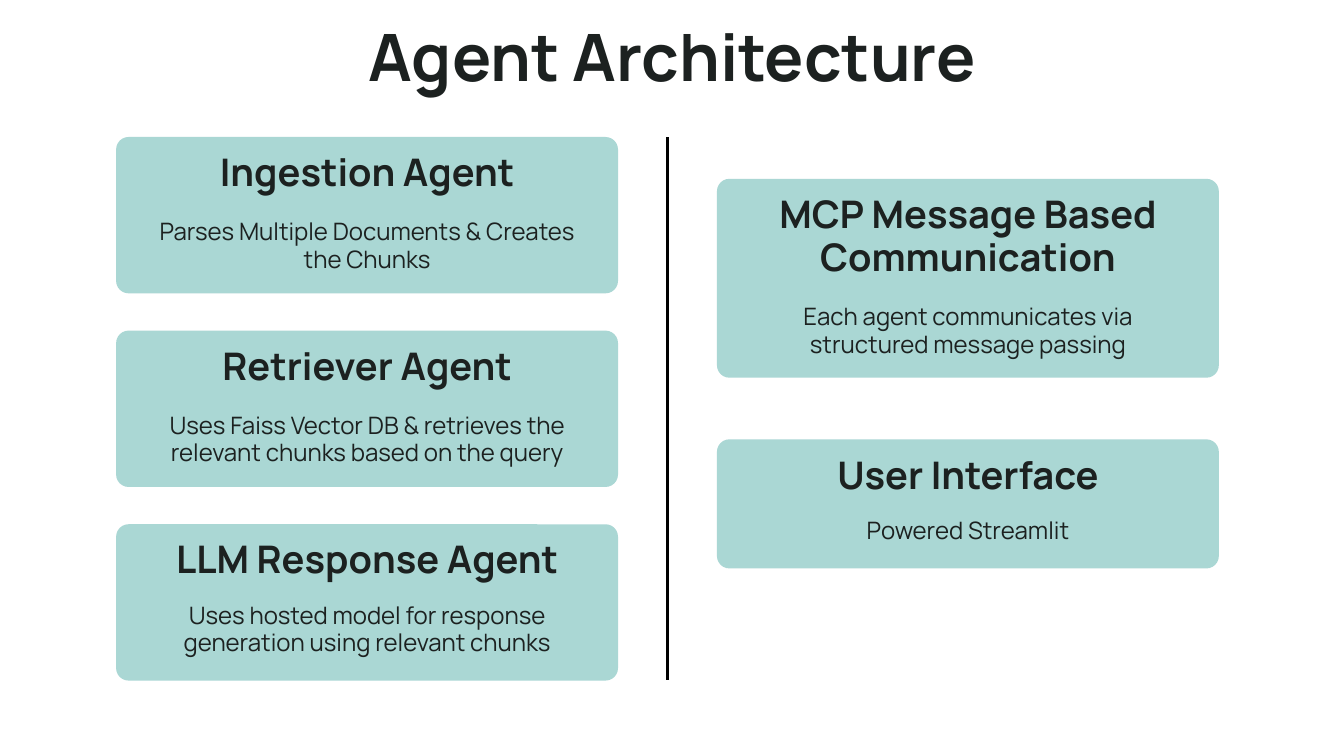
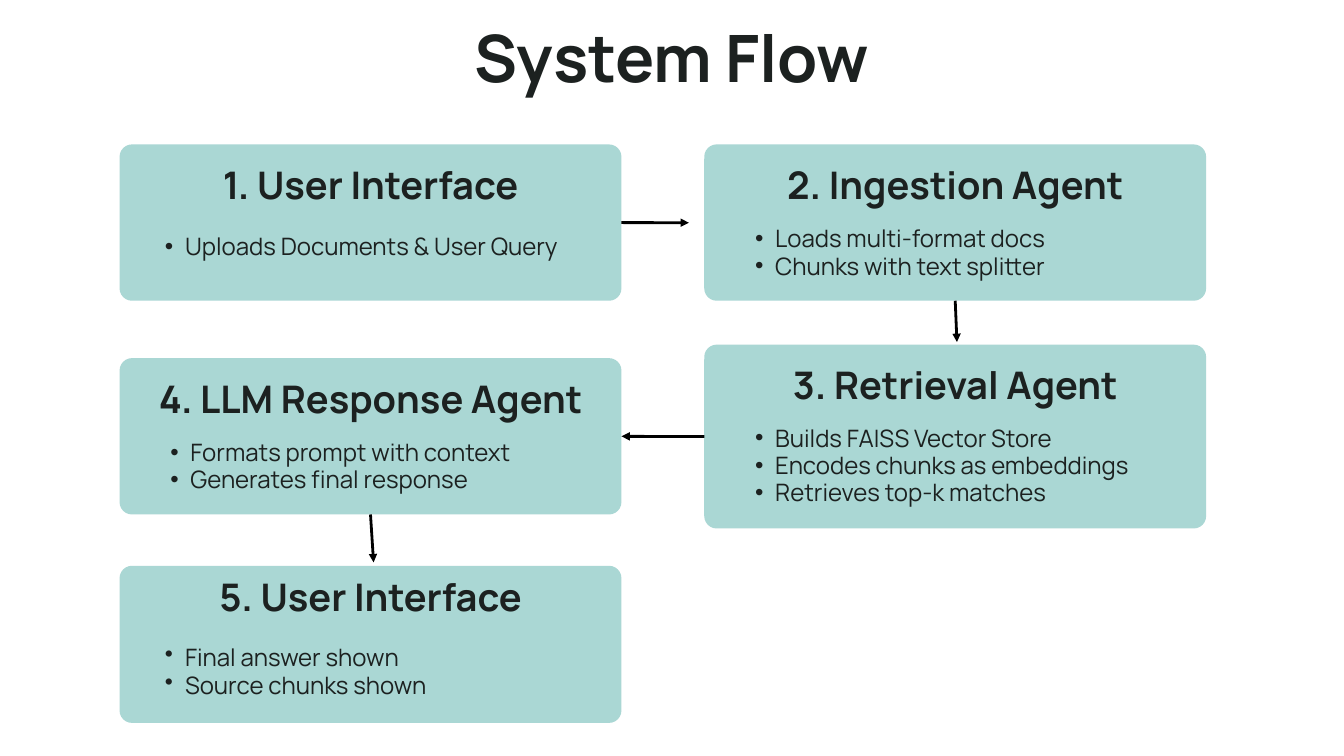
from dataclasses import dataclass
from typing import Any, Iterator, Optional

from lxml import etree
from pptx import Presentation, util as u
from pptx.dml import color
from pptx.enum import shapes, text
from pptx.oxml import ns

COLOURS = {"ink": "1C2120", "card": "AAD7D4", "line": "000000", "paper": "FFFFFF"}
FONT = "Manrope"
SLIDE_WIDTH, SLIDE_HEIGHT = 50.8, 28.58
TITLE_WIDTH, TITLE_HEIGHT = 29.77, 3.0
CARD_WIDTH, CARD_HEIGHT, CARD_RADIUS = 18.97, 5.91, 0.47
HEADING_WIDTH, HEADING_LINE, DETAIL_LINE = 16.71, 1.68, 1.05
BULLET_MARGIN, BULLET_HANG = 1.55, 0.76
TOP, LEFT, BOTTOM, RIGHT = range(4)

FRAME_FORMAT = {
    "margin_left": 0, "margin_top": 0, "margin_right": 0, "margin_bottom": 0,
    "word_wrap": True, "auto_size": text.MSO_AUTO_SIZE.NONE,
    "vertical_anchor": text.MSO_ANCHOR.TOP,
}


@dataclass(frozen=True)
class TextStyle:
    """Size, weight and line pitch in points, with alignment and bullets."""

    size: float
    pitch: float
    bold: bool = False
    align: Any = text.PP_ALIGN.CENTER
    bulleted: bool = False


TITLE = TextStyle(70, 79.8, bold=True)
HEADING = TextStyle(40.7, 46.4, bold=True)
DETAIL = TextStyle(25.7, 29.3)
LIST = TextStyle(25.7, 29.3, align=text.PP_ALIGN.LEFT, bulleted=True)


@dataclass(frozen=True)
class Card:
    """A card with a heading and details; lengths in cm, drops from its top."""

    left: float
    top: float
    heading: str
    details: str
    detail_drop: float
    heading_drop: float = 0.53
    height: float = CARD_HEIGHT
    detail_lines: int = 2
    detail_width: float = HEADING_WIDTH


@dataclass(frozen=True)
class Arrow:
    """An arrow from a card's side to a point or to another card's side."""

    source: int
    side: int
    start: tuple[float, float]
    end: tuple[float, float]
    target: Optional[int] = None
    target_side: int = RIGHT


AGENT_LEFT, SUPPORT_LEFT = 4.39, 27.1
AGENT_TOP, AGENT_PITCH = 5.18, 7.32
AGENTS = [
    ("Ingestion Agent", "Parses Multiple Documents & Creates the Chunks", 3.07),
    ("Retriever Agent", "Uses Faiss Vector DB & retrieves the relevant chunks based on the query", 3.07),
    ("LLM Response Agent", "Uses hosted model for response generation using relevant chunks", 2.92),
]
ARCHITECTURE = [
    Card(AGENT_LEFT, AGENT_TOP + row * AGENT_PITCH, *agent)
    for row, agent in enumerate(AGENTS)
] + [
    Card(SUPPORT_LEFT, 6.76, "MCP Message Based\nCommunication",
         "Each agent communicates via structured message passing", 4.7, height=7.52),
    Card(SUPPORT_LEFT, 16.61, "User Interface", "Powered Streamlit", 2.95,
         height=4.88, detail_lines=1),
]

FLOW_LEFT, FLOW_RIGHT = 4.52, 26.62
FLOW = [
    Card(FLOW_LEFT, 5.46, "1. User Interface", "Uploads Documents & User Query",
         3.35, 0.74, detail_lines=1, detail_width=17.12),
    Card(FLOW_RIGHT, 5.46, "2. Ingestion Agent",
         "Loads multi-format docs\nChunks with text splitter", 3.05, 0.74),
    Card(FLOW_RIGHT, 13.03, "3. Retrieval Agent",
         "Builds FAISS Vector Store\nEncodes chunks as embeddings\nRetrieves top-k matches",
         3.02, 0.74, height=6.95, detail_lines=3),
    Card(FLOW_LEFT, 13.54, "4. LLM Response Agent",
         "Formats prompt with context\nGenerates final response", 3.05, 0.74),
    Card(FLOW_LEFT, 21.39, "5. User Interface",
         "Final answer shown\nSource chunks shown", 2.97, 0.36,
         height=5.94, detail_width=17.12),
]
ARROWS = [
    Arrow(0, RIGHT, (23.49, 8.42), (26.04, 8.42)),
    Arrow(2, LEFT, (26.62, 16.5), (23.49, 16.5), target=3),
    Arrow(1, BOTTOM, (36.11, 11.37), (36.17, 12.93)),
    Arrow(3, BOTTOM, (14.01, 19.45), (14.12, 21.26)),
]


def apply(target: Any, values: dict[str, Any]) -> None:
    """Set each named attribute on the target."""
    for name, value in values.items():
        setattr(target, name, value)


def rgb(name: str) -> color.RGBColor:
    """Look up a colour of the palette."""
    return color.RGBColor.from_string(COLOURS[name])


def add_bullet(paragraph: Any) -> None:
    """Give a second-level paragraph a hanging round bullet."""
    paragraph.level = 1
    properties = paragraph._p.get_or_add_pPr()
    properties.set("marL", str(u.Cm(BULLET_MARGIN)))
    properties.set("indent", str(-u.Cm(BULLET_HANG)))
    etree.SubElement(properties, ns.qn("a:buChar"), char="•")


def write(box: Any, words: str, style: TextStyle,
          left: float, top: float, width: float, height: float) -> None:
    """Place a text holder and fill it with one paragraph per line."""
    apply(box, {"left": u.Cm(left), "top": u.Cm(top),
                "width": u.Cm(width), "height": u.Cm(height)})
    frame = box.text_frame
    frame.text = words
    apply(frame, FRAME_FORMAT)
    for paragraph in frame.paragraphs:
        apply(paragraph, {"alignment": style.align, "line_spacing": u.Pt(style.pitch),
                          "space_before": u.Pt(0), "space_after": u.Pt(0)})
        if style.bulleted:
            add_bullet(paragraph)
        for run in paragraph.runs:
            apply(run.font, {"name": FONT, "size": u.Pt(style.size), "bold": style.bold})
            run.font.color.rgb = rgb("ink")


def add_titled_slide(deck: Any, layout: str, title: str, top: float) -> Any:
    """Add a slide with the shared background and title style."""
    slide = deck.slides.add_slide(deck.slide_layouts.get_by_name(layout))
    slide.background.fill.solid()
    slide.background.fill.fore_color.rgb = rgb("paper")
    write(slide.shapes.title, title, TITLE,
          (SLIDE_WIDTH - TITLE_WIDTH) / 2, top, TITLE_WIDTH, TITLE_HEIGHT)
    return slide


def add_card(slide: Any, card: Card, style: TextStyle, bodies: Iterator[Any]) -> Any:
    """Draw a card, using a free body placeholder for its details if any."""
    panel = slide.shapes.add_shape(
        shapes.MSO_SHAPE.ROUNDED_RECTANGLE, u.Cm(card.left), u.Cm(card.top),
        u.Cm(CARD_WIDTH), u.Cm(card.height))
    panel.adjustments[0] = CARD_RADIUS / card.height
    panel.shadow.inherit = False
    panel.fill.solid()
    panel.fill.fore_color.rgb = rgb("card")
    panel.line.fill.background()

    heading = slide.shapes.add_textbox(0, 0, 0, 0)
    write(heading, card.heading, HEADING,
          card.left + (CARD_WIDTH - HEADING_WIDTH) / 2, card.top + card.heading_drop,
          HEADING_WIDTH, HEADING_LINE * len(card.heading.split("\n")))

    details = next(bodies, None) or slide.shapes.add_textbox(0, 0, 0, 0)
    slide.shapes.element.append(details.element)
    write(details, card.details, style,
          card.left + (CARD_WIDTH - card.detail_width) / 2, card.top + card.detail_drop,
          card.detail_width, DETAIL_LINE * card.detail_lines)
    return panel


def add_line(slide: Any, start: tuple[float, float], end: tuple[float, float]) -> Any:
    """Draw a straight line without a shadow."""
    line = slide.shapes.add_connector(
        shapes.MSO_CONNECTOR.STRAIGHT, *map(u.Cm, (*start, *end)))
    line.line.color.rgb = rgb("line")
    line.line.width = u.Pt(3)
    etree.SubElement(line.element.spPr, ns.qn("a:effectLst"))
    return line


def add_arrow(slide: Any, arrow: Arrow, panels: list[Any]) -> None:
    """Draw an arrow and join it to the cards it touches."""
    line = add_line(slide, arrow.start, arrow.end)
    line.begin_connect(panels[arrow.source], arrow.side)
    if arrow.target is not None:
        line.end_connect(panels[arrow.target], arrow.target_side)
    outline = line.element.spPr.find(ns.qn("a:ln"))
    etree.SubElement(outline, ns.qn("a:tailEnd"), type="triangle")


def build_architecture(deck: Any) -> None:
    """Build the agent overview with its dividing line."""
    slide = add_titled_slide(deck, "Title Only", "Agent Architecture", 0.76)
    for card in ARCHITECTURE:
        add_card(slide, card, DETAIL, iter(()))
    add_line(slide, (25.22, AGENT_TOP), (25.22, 25.71))


def build_flow(deck: Any) -> None:
    """Build the five steps and the arrows between them."""
    slide = add_titled_slide(deck, "Comparison", "System Flow", 0.79)
    bodies = iter([holder for holder in slide.placeholders
                   if holder.placeholder_format.idx > 0])
    panels = [add_card(slide, card, LIST, bodies) for card in FLOW]
    for arrow in ARROWS:
        add_arrow(slide, arrow, panels)


def main() -> None:
    """Create the deck and save it."""
    deck = Presentation()
    apply(deck, {"slide_width": u.Cm(SLIDE_WIDTH), "slide_height": u.Cm(SLIDE_HEIGHT)})
    build_architecture(deck)
    build_flow(deck)
    deck.save("out.pptx")


if __name__ == "__main__":
    main()
